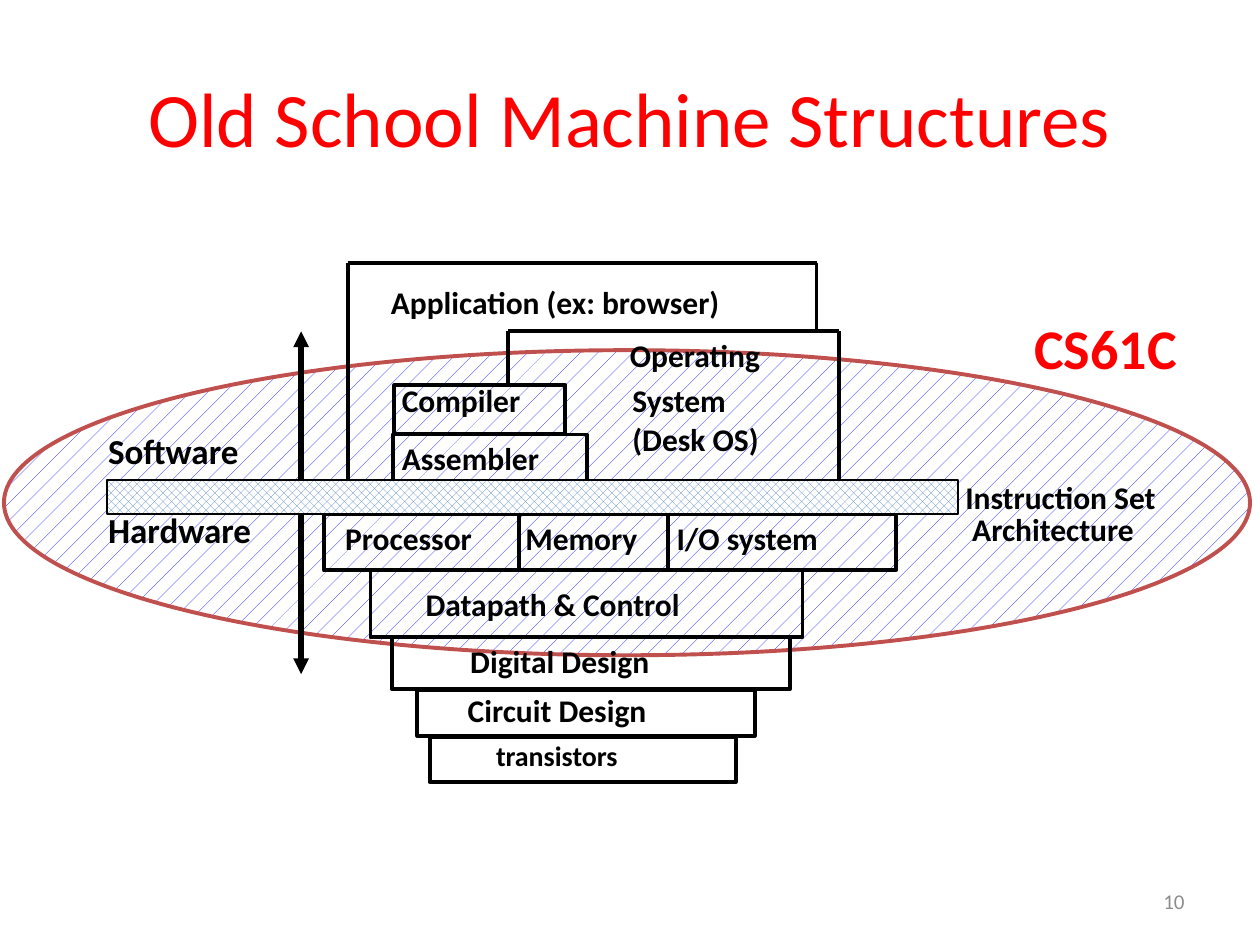
from itertools import pairwise
from lxml.etree import SubElement
from pptx import Presentation
from pptx.dml.color import RGBColor
from pptx.enum.dml import MSO_PATTERN
from pptx.enum.shapes import MSO_CONNECTOR, MSO_SHAPE
from pptx.enum.text import MSO_ANCHOR, PP_ALIGN
from pptx.oxml.ns import qn
from pptx.util import Cm, Pt

THEME = {
    "font": "Calibri",
    "red": "FF0000", "black": "000000", "white": "FFFFFF", "gray": "8C8C8C",
    "rim": "C0504D", "blue": "0000FF", "steel": "4F81BD",
    "title": 44, "course": 32, "side": 20, "body": 18, "small": 16, "page": 12,
    "thin": 1, "line": 2.25, "arrow": 3,
}

TITLE = "Old School Machine Structures"
SCOPE = (0.08, 7.06, 25.12, 6.15)
BAND = (2.16, 9.68, 17.15, 0.69)
BOXES = [
    (7.95, 7.77, 3.45, 0.99),
    (7.92, 8.76, 3.91, 0.99),
    (6.53, 10.36, 11.53, 1.14),
    (7.47, 11.5, 8.71, 1.35),
    (7.9, 12.85, 8.03, 1.04),
    (8.41, 13.92, 6.81, 0.91),
    (8.66, 14.86, 6.17, 0.91),
]
PATHS = [
    [(7.01, 9.68), (7.01, 5.31), (16.46, 5.31), (16.46, 6.65)],
    [(10.24, 7.77), (10.24, 6.68), (16.92, 6.68), (16.92, 9.68)],
    [(10.46, 10.36), (10.46, 11.5)],
    [(13.46, 10.36), (13.46, 11.5)],
]
ARROWS = [[(6.07, 9.68), (6.07, 6.68)], [(6.07, 10.36), (6.07, 13.59)]]

TIGHT = (0.18, 0.08)
LOOSE = (0.25, 0.13)
LABELS = [
    (["Application (ex: browser)"], (7.7, 5.61, 8.69, 0.91), 1.02),
    (["Operating"], (12.52, 6.68, 3.66, 0.91), 1.02),
    (["System", "(Desk OS)"], (12.57, 7.59, 3.84, 1.7), 1.02),
    (["Compiler"], (7.92, 7.59, 3.38, 0.91), 1.02),
    (["Assembler"], (7.92, 8.76, 4.14, 0.91), 1.02),
    (["Processor"], (6.78, 10.36, 3.76, 0.91), 1.02),
    (["Memory"], (10.41, 10.36, 3.02, 0.91), 1.02),
    (["I/O system"], (13.46, 10.36, 3.89, 0.91), 1.02),
    (["Digital Design"], (9.3, 12.85, 5, 0.91), 1.02),
    (["Circuit Design"], (9.25, 13.84, 5.08, 0.91), 1.02),
    (["Instruction Set", "Architecture"], (19.28, 9.68, 5.23, 1.47), 0.85),
]
NOTES = [
    ("CS61C", (20.6, 6.2, 4.6, 1.63), "course", "red"),
    ("Datapath & Control", (8.33, 11.66, 7.04, 1.02), "body", "black"),
    ("transistors", (9.75, 14.76, 3.91, 0.94), "small", "black"),
    ("Hardware", (1.93, 10.13, 4.06, 1.12), "side", "black"),
    ("Software", (1.93, 8.53, 3.81, 1.12), "side", "black"),
]
PAGE = ("10", (18.21, 17.65, 5.92, 1.02))


def tint(name):
    return RGBColor.from_string(THEME[name])


def put(item, **vals):
    for key, val in vals.items():
        setattr(item, key, val)


def style(para, size, color, bold=True):
    put(para.font, name=THEME["font"], size=Pt(THEME[size]), bold=bold)
    para.font.color.rgb = tint(color)


def block(kind, area, rim="black", width="line", fill=None):
    shape = slide.shapes.add_shape(kind, *map(Cm, area))
    shape.shadow.inherit = False
    if fill:
        pattern, color = fill
        shape.fill.patterned()
        shape.fill.pattern = pattern
        shape.fill.fore_color.rgb = tint(color)
        shape.fill.back_color.rgb = tint("white")
    else:
        shape.fill.background()
    shape.line.color.rgb = tint(rim)
    shape.line.width = Pt(THEME[width])


def trace(points, width="line", head=False):
    for start, end in pairwise(points):
        line = slide.shapes.add_connector(
            MSO_CONNECTOR.STRAIGHT, *map(Cm, start + end))
        line.line.color.rgb = tint("black")
        line.line.width = Pt(THEME[width])
        if head:
            SubElement(line.line._get_or_add_ln(), qn("a:tailEnd"), type="triangle")
        SubElement(line._element.spPr, qn("a:effectLst"))


def label(lines, area, size="body", color="black", inset=LOOSE, space=None, bold=True):
    frame = slide.shapes.add_textbox(*map(Cm, area)).text_frame
    side, edge = map(Cm, inset)
    put(frame, word_wrap=True, margin_left=side, margin_right=side,
        margin_top=edge, margin_bottom=edge)
    frame.text = "\n".join(lines)
    for para in frame.paragraphs:
        para.line_spacing = space
        style(para, size, color, bold)
    return frame


deck = Presentation()
put(deck, slide_width=Cm(25.4), slide_height=Cm(19.05))
slide = deck.slides.add_slide(deck.slide_layouts[5])

title = slide.shapes.title
put(title, left=Cm(1.27), top=Cm(0.76), width=Cm(22.86), height=Cm(3.18))
put(title.text_frame, text=TITLE, vertical_anchor=MSO_ANCHOR.MIDDLE)
title.text_frame.paragraphs[0].alignment = PP_ALIGN.CENTER
style(title.text_frame.paragraphs[0], "title", "red", False)

block(MSO_SHAPE.OVAL, SCOPE, rim="rim", fill=(MSO_PATTERN.PERCENT_5, "blue"))
for area in BOXES:
    block(MSO_SHAPE.RECTANGLE, area)
for points in PATHS:
    trace(points)
for points in ARROWS:
    trace(points, "arrow", True)
block(MSO_SHAPE.RECTANGLE, BAND, width="thin", fill=(MSO_PATTERN.PERCENT_50, "steel"))

for lines, area, space in LABELS:
    frame = label(lines, area, inset=TIGHT, space=space)
frame.paragraphs[1]._p.get_or_add_pPr().set("marL", str(Cm(0.14)))
for text, area, size, color in NOTES:
    label([text], area, size, color)

text, area = PAGE
page = label([text], area, "page", "gray", bold=False)
page.vertical_anchor = MSO_ANCHOR.MIDDLE
page.paragraphs[0].alignment = PP_ALIGN.RIGHT

deck.save("out.pptx")
